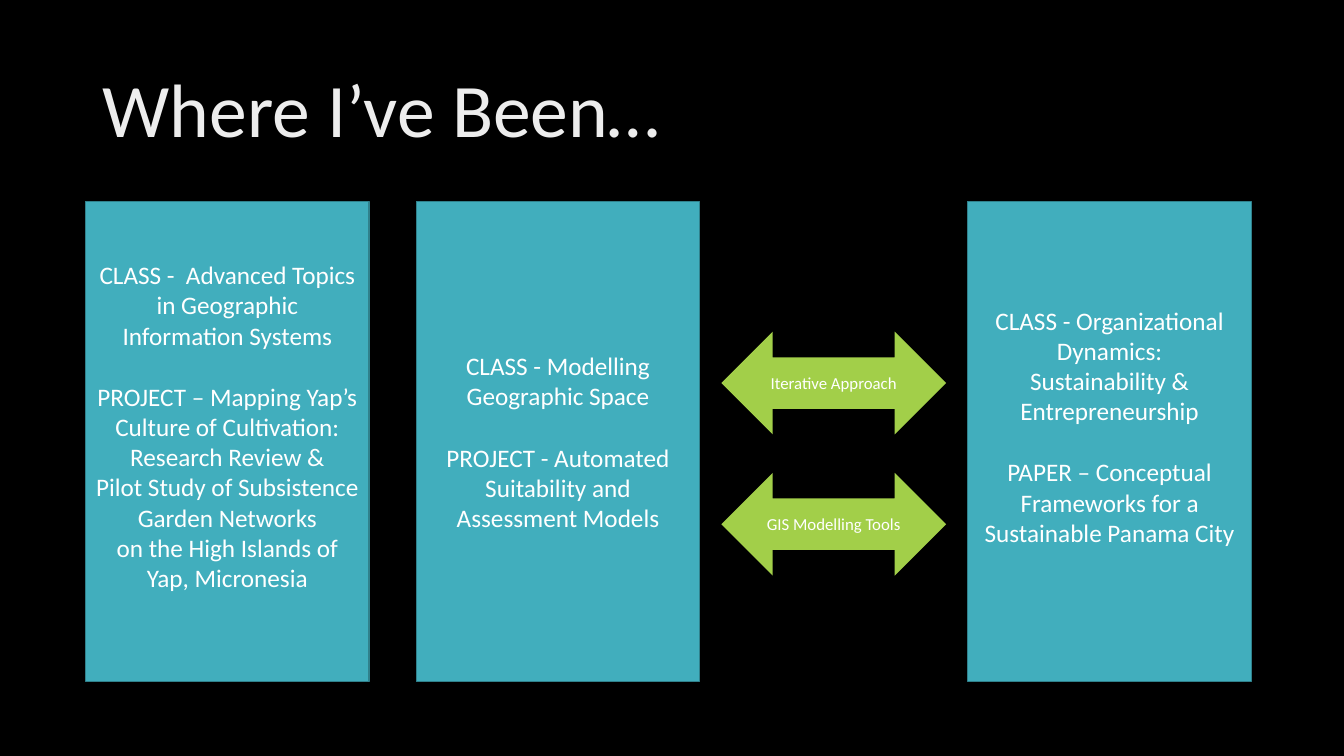
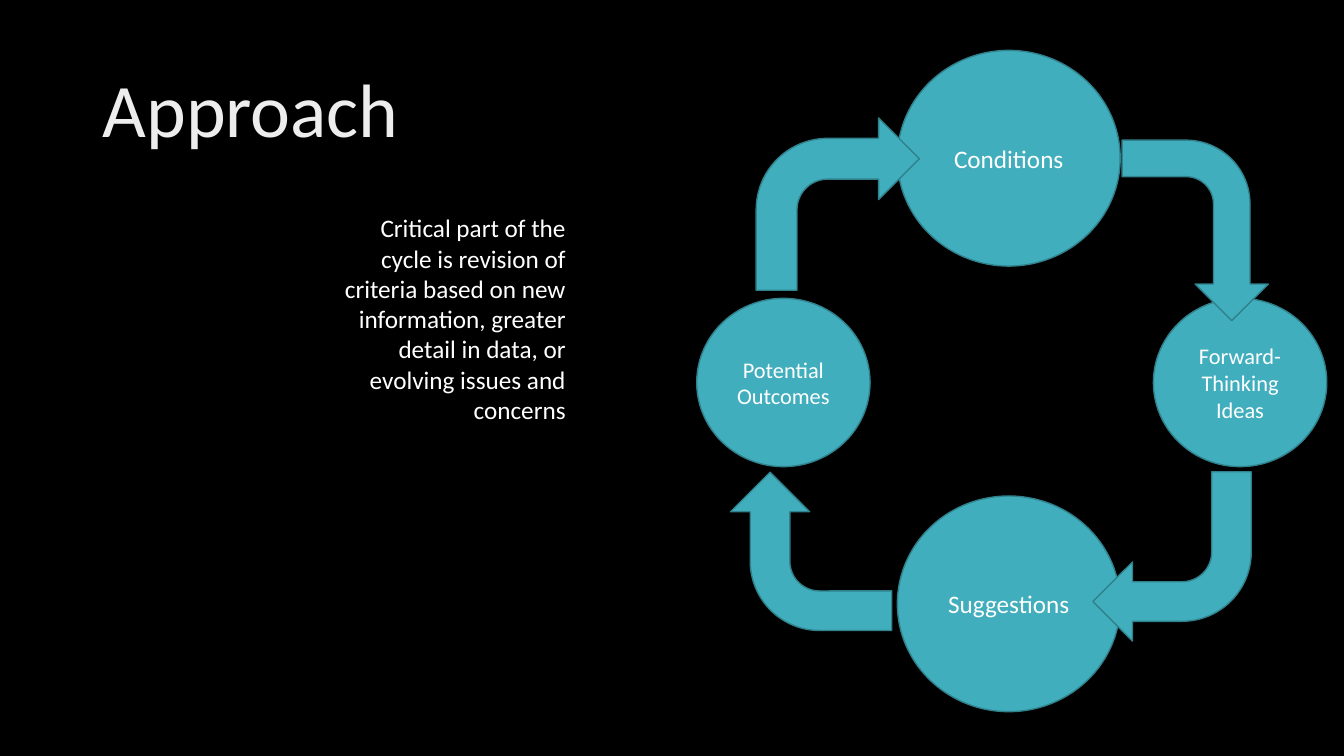
from pptx import Presentation
from pptx.dml.color import RGBColor
from pptx.enum.shapes import MSO_SHAPE
from pptx.enum.text import MSO_ANCHOR, PP_ALIGN
from pptx.util import Inches, Pt

BLACK, WHITE, SILVER = "000000", "FFFFFF", "EDEDED"
TEAL, DARK_TEAL, GREEN = "41AEBD", "30818C", "A2CF49"
LINE_HEIGHT = Pt(22)  # one line of 18 point text

deck = Presentation()
deck.slide_width, deck.slide_height = Inches(13.33), Inches(7.5)
column, row = deck.slide_width / 100, deck.slide_height / 100


def add_box(page, kind, center, middle, width, height, fill=TEAL, line=DARK_TEAL):
    """Add a shape, or a text box if kind is None, by its centre in columns and rows."""
    area = [int(length) for length in ((center - width / 2) * column,
                                       (middle - height / 2) * row,
                                       width * column, height * row)]
    if kind is None:
        return page.shapes.add_textbox(*area)
    box = page.shapes.add_shape(kind, *area)
    box.shadow.inherit = False
    box.fill.solid()
    box.fill.fore_color.rgb = RGBColor.from_string(fill)
    if line:
        box.line.color.rgb = RGBColor.from_string(line)
        box.line.width = Pt(1)
    else:
        box.line.fill.background()
    return box


def write(box, text, size=18, color=WHITE, align=PP_ALIGN.CENTER,
          anchor=MSO_ANCHOR.MIDDLE, line_spacing=None):
    """Line breaks start paragraphs; an empty line puts a line's space before the next."""
    frame = box.text_frame
    frame.word_wrap = True
    frame.vertical_anchor = anchor
    para = None
    for block_number, block in enumerate(text.split("\n\n")):
        for line_number, line in enumerate(block.split("\n")):
            para = frame.add_paragraph() if para else frame.paragraphs[0]
            para.alignment = align
            para.line_spacing = line_spacing
            if block_number and not line_number:
                para.space_before = LINE_HEIGHT
            span = para.add_run()
            span.text = line
            span.font.name = "Calibri"
            span.font.size = Pt(size)
            span.font.color.rgb = RGBColor.from_string(color)


pages = []
for title in ("Where I’ve Been…", "Approach"):
    page = deck.slides.add_slide(deck.slide_layouts[6])
    page.background.fill.solid()
    page.background.fill.fore_color.rgb = RGBColor.from_string(BLACK)
    write(add_box(page, None, 50, 15, 86.2, 19.33), title, size=54, color=SILVER,
          align=PP_ALIGN.LEFT, line_spacing=0.9)
    pages.append(page)
history, approach = pages

# Where I've Been: three panels, two of them linked by double arrows
panel_width, panel_height, panel_middle = 21.1, 63.47, 58.4
panels = [
    (16.92, True, "CLASS -  Advanced Topics in Geographic Information Systems\n\n"
                  "PROJECT – Mapping Yap’s Culture of Cultivation:\n"
                  "Research Review &\n"
                  "Pilot Study of Subsistence Garden Networks\n"
                  "on the High Islands of Yap, Micronesia"),
    (41.52, False, "CLASS - Modelling Geographic Space\n\n"
                   "PROJECT - Automated Suitability and Assessment Models"),
    (82.56, True, "CLASS - Organizational\nDynamics:\n"
                  "Sustainability & Entrepreneurship\n\n"
                  "PAPER – Conceptual Frameworks for a Sustainable Panama City"),
]
for center, raised, text in panels:
    panel = add_box(history, MSO_SHAPE.RECTANGLE, center, panel_middle,
                    panel_width, panel_height)
    if raised:
        panel.text_frame.margin_bottom += LINE_HEIGHT
    write(panel, text)

arrow_center = (panels[1][0] + panels[2][0]) / 2
for number, text in enumerate(("Iterative Approach", "GIS Modelling Tools")):
    arrow = add_box(history, MSO_SHAPE.LEFT_RIGHT_ARROW, arrow_center,
                    50.67 + number * 18.67, 16.73, 13.6, fill=GREEN, line=None)
    write(arrow, text, size=12)

# Approach: a cycle of four stages
large, small = (16.58, 28.53), (12.9, 22.27)
stages = [
    (75.06, 20.93, large, 18, "Conditions"),
    (75.06, 79.87, large, 18, "Suggestions"),
    (58.29, 50.6, small, 16, "Potential Outcomes"),
    (92.27, 50.6, small, 16, "Forward-\nThinking\nIdeas"),
]
for center, middle, extent, size, text in stages:
    write(add_box(approach, MSO_SHAPE.OVAL, center, middle, *extent), text, size=size)

write(add_box(approach, None, 33.53, 42.27, 18.6, 29.6),
      "Critical part of the cycle is revision of criteria based on new information, "
      "greater detail in data, or evolving issues and concerns",
      align=PP_ALIGN.RIGHT, anchor=MSO_ANCHOR.TOP)

turns = [
    (62.34, 27, 12.15, 22.8),
    (88.93, 30.47, 13.43, 19.33),
    (87.21, 73.6, 11.78, 22.4),
    (60.35, 72.93, 11.78, 21.33),
]
for quarter, area in enumerate(turns):
    add_box(approach, MSO_SHAPE.BENT_ARROW, *area).rotation = quarter * 90

deck.save("out.pptx")
